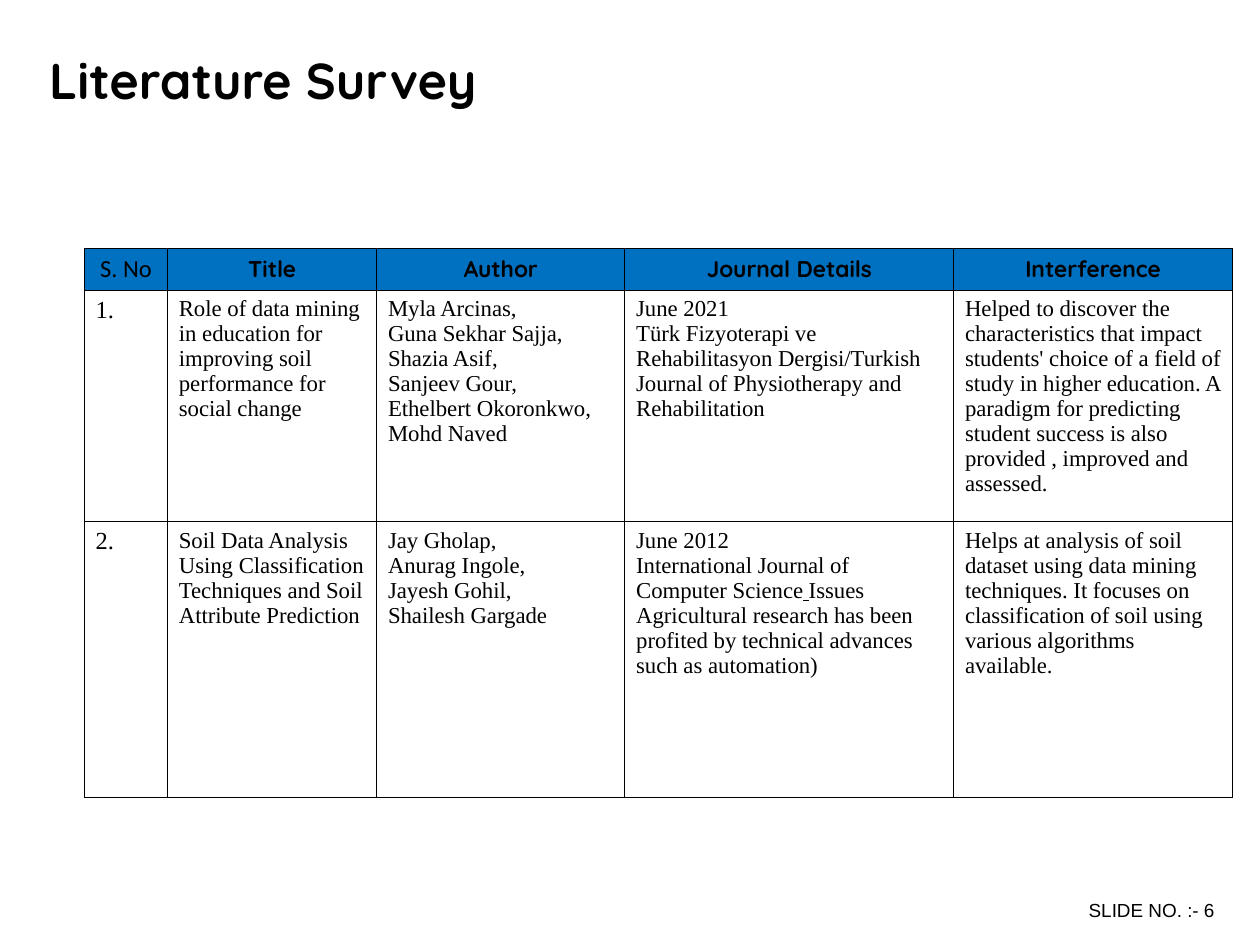
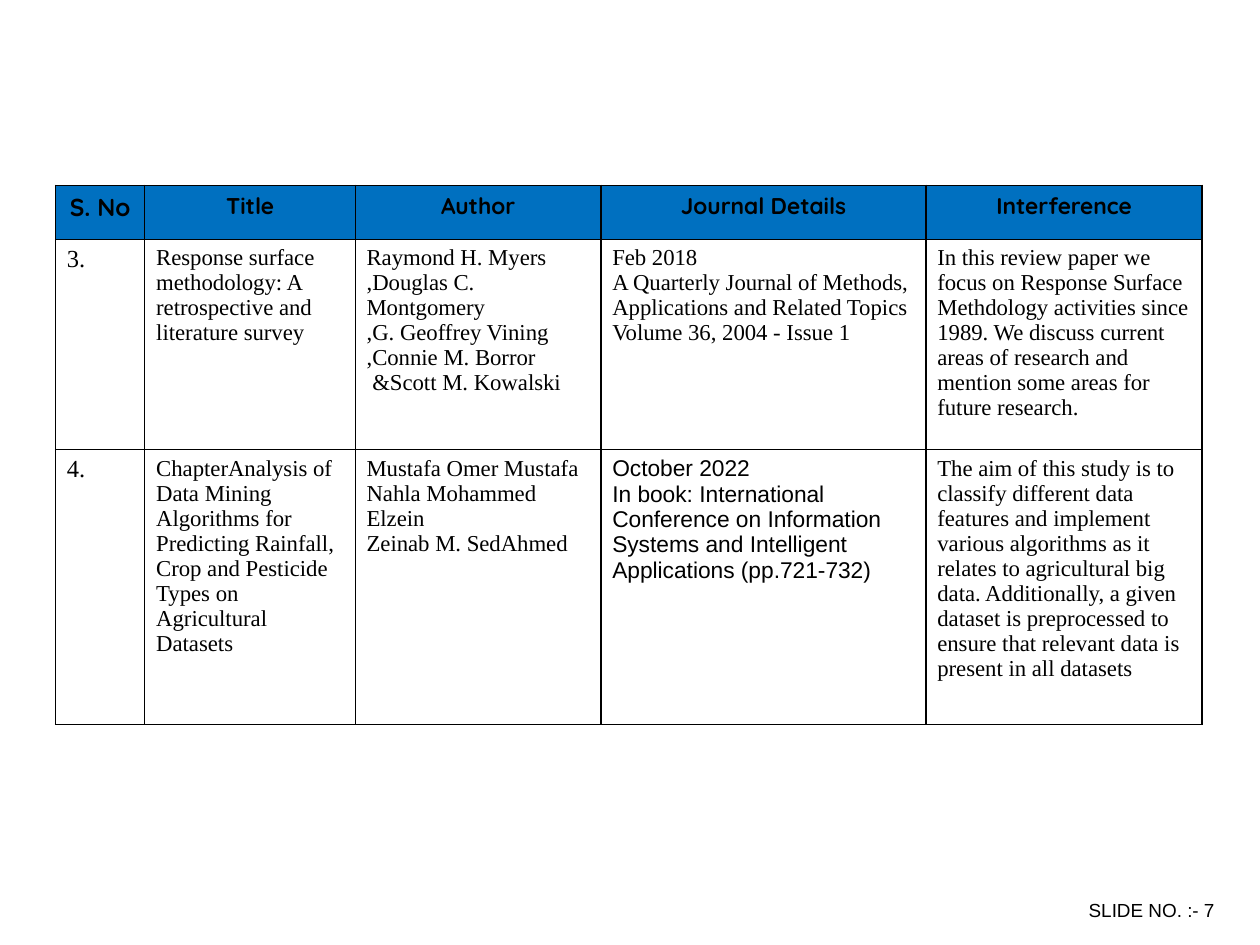
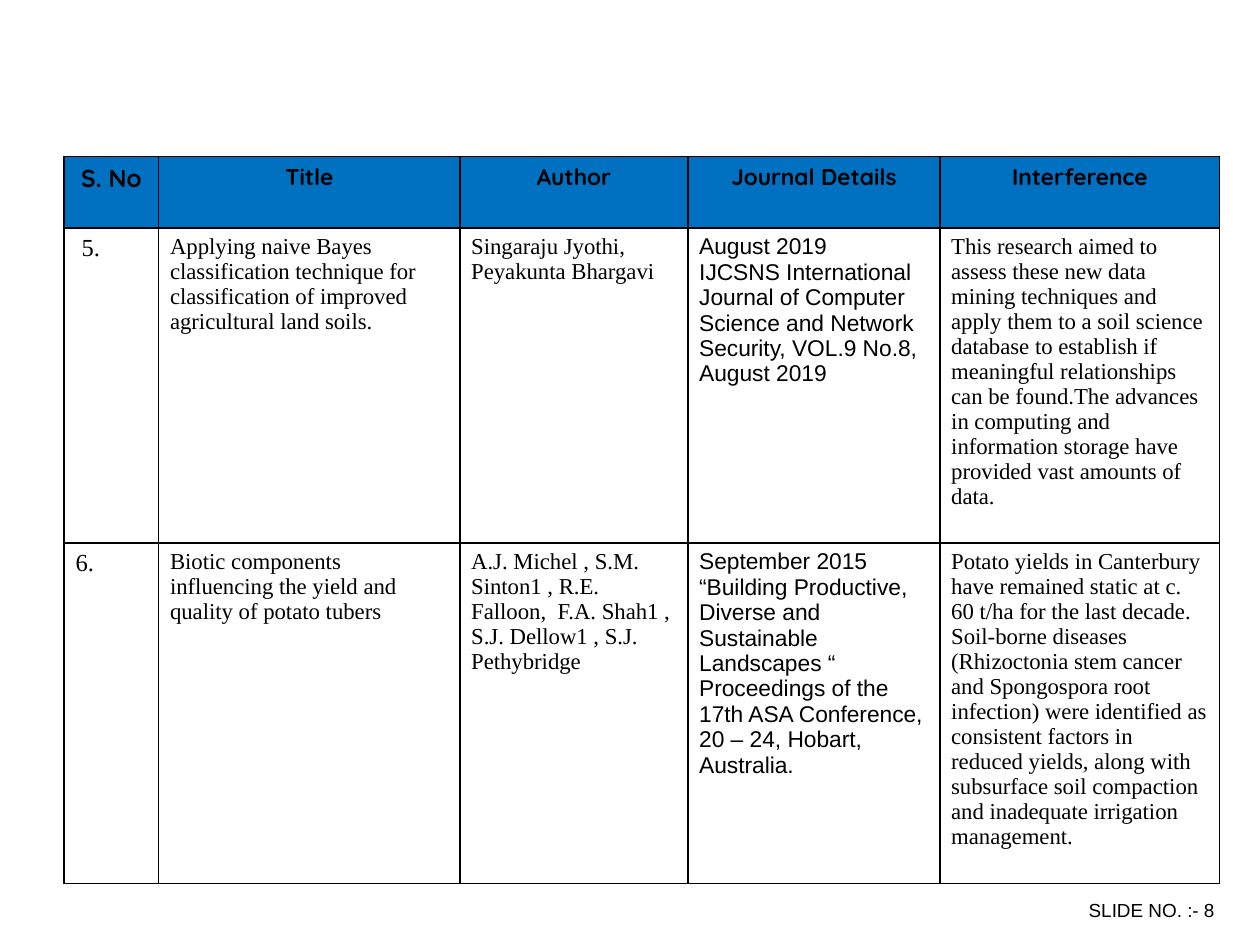
from lxml.etree import SubElement
from pptx import Presentation
from pptx.dml.color import RGBColor
from pptx.enum.text import MSO_ANCHOR as Anchor, PP_ALIGN as Align
from pptx.oxml.ns import qn
from pptx.util import Inches, Pt

BLACK = RGBColor(0x00, 0x00, 0x00)
HEADER_BLUE = RGBColor(0x00, 0x70, 0xC0)
HEADING_FONT = "Quicksand"
BODY_FONT = "Times New Roman"
PLAIN_FONT = "Arial"
HEADINGS = ["S. No", "Title", "Author", "Journal Details", "Interference"]
NUMBER_SIZE = 14
TEXT_SIZE = 13
JOURNAL_COLUMN = HEADINGS.index("Journal Details")
TITLE_BOX = (0.3, 0.3, 9.4, 0.9)
FOOTER_BOX = (8.55, 7.09, 1.68, 0.27)

SURVEYS = [
    {
        "title": "Literature Survey",
        "number": 6,
        "origin": (0.67, 1.97),
        "columns": [0.66, 1.66, 1.97, 2.61, 2.21],
        "rows": [0.32, 1.83, 2.19],
        "number_heading": {"font": "Calibri", "bold": False},
        "records": [
            ["1.",
             "Role of data mining in education for improving soil performance for social change",
             "Myla Arcinas,\nGuna Sekhar Sajja,\nShazia Asif,\nSanjeev Gour,\n"
             "Ethelbert Okoronkwo,\nMohd Naved",
             "June 2021\nTürk Fizyoterapi ve Rehabilitasyon Dergisi/Turkish Journal of "
             "Physiotherapy and Rehabilitation",
             "Helped to discover the characteristics that impact students' choice of a field "
             "of study in higher education. A paradigm for predicting student success is also "
             "provided , improved and assessed."],
            ["2.",
             "Soil Data Analysis Using Classification Techniques and Soil Attribute Prediction",
             "Jay Gholap,\nAnurag Ingole,\nJayesh Gohil,\nShailesh Gargade",
             "June 2012\nInternational Journal of Computer Science_ _Issues Agricultural "
             "research has been profited by technical advances such as automation)",
             "Helps at analysis of soil dataset using data mining techniques. It focuses on "
             "classification of soil using various algorithms available."],
        ],
    },
    {
        "number": 7,
        "origin": (0.44, 1.47),
        "columns": [0.71, 1.67, 1.95, 2.58, 2.19],
        "rows": [0.43, 1.67, 2.18],
        "plain_journals": {"4."},
        "records": [
            ["3.",
             "Response surface methodology: A retrospective and literature survey",
             "Raymond H. Myers\n,Douglas C. Montgomery\n,G. Geoffrey Vining\n"
             ",Connie M. Borror\n &Scott M. Kowalski",
             "Feb 2018\nA Quarterly Journal of Methods, Applications and Related Topics\n"
             "Volume 36, 2004 - Issue 1",
             "In this review paper we focus on Response Surface Methdology activities since "
             "1989. We discuss current areas of research and mention some areas for future "
             "research."],
            ["4.",
             "ChapterAnalysis of Data Mining Algorithms for Predicting Rainfall, Crop and "
             "Pesticide Types on Agricultural Datasets",
             "Mustafa Omer Mustafa\nNahla Mohammed Elzein\nZeinab M. SedAhmed",
             "October 2022\nIn book: International Conference on Information Systems and "
             "Intelligent Applications (pp.721-732)",
             "The aim of this study is to classify different data features and implement "
             "various algorithms as it relates to agricultural big data. Additionally, a given "
             "dataset is preprocessed to ensure that relevant data is present in all datasets"],
        ],
    },
    {
        "number": 8,
        "origin": (0.51, 1.24),
        "columns": [0.75, 2.39, 1.81, 2, 2.22],
        "rows": [0.57, 2.5, 2.54],
        "border": 1,
        "plain_journals": {" 5.", "6."},
        "records": [
            [" 5.",
             "Applying naive Bayes classification technique for classification of improved "
             "agricultural land soils.",
             "Singaraju Jyothi,\nPeyakunta Bhargavi",
             "August 2019\nIJCSNS International Journal of Computer Science and Network "
             "Security, VOL.9 No.8, August 2019",
             "This research aimed to assess these new data mining techniques and apply them "
             "to a soil science database to establish if meaningful relationships can be "
             "found.The advances in computing and information storage have provided vast "
             "amounts of data."],
            ["6.",
             "Biotic components influencing the yield and quality of potato tubers",
             "A.J. Michel , S.M. Sinton1 , R.E. Falloon,  F.A. Shah1 , S.J. Dellow1 , "
             "S.J. Pethybridge",
             "September 2015 “Building Productive, Diverse and Sustainable Landscapes “ "
             "Proceedings of the 17th ASA Conference, 20 – 24, Hobart, Australia.",
             "Potato yields in Canterbury have remained static at c. 60 t/ha for the last "
             "decade. Soil-borne diseases (Rhizoctonia stem cancer and Spongospora root "
             "infection) were identified as consistent factors in reduced yields, along with "
             "subsurface soil compaction and inadequate irrigation management."],
        ],
    },
]


def write(frame, text, size=TEXT_SIZE, font=BODY_FONT, bold=False, align=Align.LEFT):
    for index, line in enumerate(text.split("\n")):
        para = frame.add_paragraph() if index else frame.paragraphs[0]
        para.alignment = align
        for position, part in enumerate(line.split("_")):
            span = para.add_run()
            span.text = part
            span.font.size = Pt(size)
            span.font.name = font
            span.font.bold = bold
            span.font.underline = position % 2 == 1
            span.font.color.rgb = BLACK


def add_label(page, box, text, margin, **style):
    frame = page.shapes.add_textbox(*map(Inches, box)).text_frame
    frame.word_wrap = True
    frame.vertical_anchor = Anchor.TOP
    frame.margin_left = frame.margin_right = Inches(0.09)
    frame.margin_top = frame.margin_bottom = Inches(margin)
    write(frame, text, **style)


def outline(cell, width):
    properties = cell._tc.get_or_add_tcPr()
    for index, side in enumerate(("lnL", "lnR", "lnT", "lnB")):
        line = SubElement(properties, qn(f"a:{side}"), w=str(Pt(width)))
        fill = SubElement(line, qn("a:solidFill"))
        SubElement(fill, qn("a:srgbClr"), val=str(BLACK))
        properties.insert(index, line)


def fill_cell(cell, text, border, header=False, **style):
    cell.margin_left = cell.margin_right = Inches(0.09)
    cell.margin_top = cell.margin_bottom = Inches(0.05)
    if header:
        cell.fill.solid()
        cell.fill.fore_color.rgb = HEADER_BLUE
    else:
        cell.fill.background()
    outline(cell, border)
    write(cell.text_frame, text, **style)


def add_survey_table(page, box, survey):
    columns, rows = survey["columns"], survey["rows"]
    border = survey.get("border", 0.75)
    table = page.shapes.add_table(len(rows), len(columns), *map(Inches, box)).table
    table.first_row = table.horz_banding = False
    for column, width in zip(table.columns, columns):
        column.width = Inches(width)
    for row, height in zip(table.rows, rows):
        row.height = Inches(height)

    for index, heading in enumerate(HEADINGS):
        style = {"size": TEXT_SIZE, "font": HEADING_FONT, "bold": True}
        if index == 0:
            style.update(size=NUMBER_SIZE, **survey.get("number_heading", {}))
        fill_cell(table.cell(0, index), heading, border, header=True,
                  align=Align.CENTER, **style)

    for row, record in enumerate(survey["records"], 1):
        plain = record[0] in survey.get("plain_journals", ())
        for index, text in enumerate(record):
            fill_cell(table.cell(row, index), text, border,
                      size=TEXT_SIZE if index else NUMBER_SIZE,
                      font=PLAIN_FONT if plain and index == JOURNAL_COLUMN else BODY_FONT)


def add_survey_page(deck, survey):
    page = deck.slides.add_slide(deck.slide_layouts[6])
    if "title" in survey:
        add_label(page, TITLE_BOX, survey["title"], 0.09,
                  size=28.8, font=HEADING_FONT, bold=True)
    box = (*survey["origin"], sum(survey["columns"]), sum(survey["rows"]))
    add_survey_table(page, box, survey)
    add_label(page, FOOTER_BOX, f"SLIDE NO. :- {survey['number']}", 0.04,
              size=10.8, font=PLAIN_FONT)


def main():
    deck = Presentation()
    deck.slide_width, deck.slide_height = Inches(10), Inches(7.5)
    for survey in SURVEYS:
        add_survey_page(deck, survey)
    deck.save("out.pptx")


if __name__ == "__main__":
    main()
